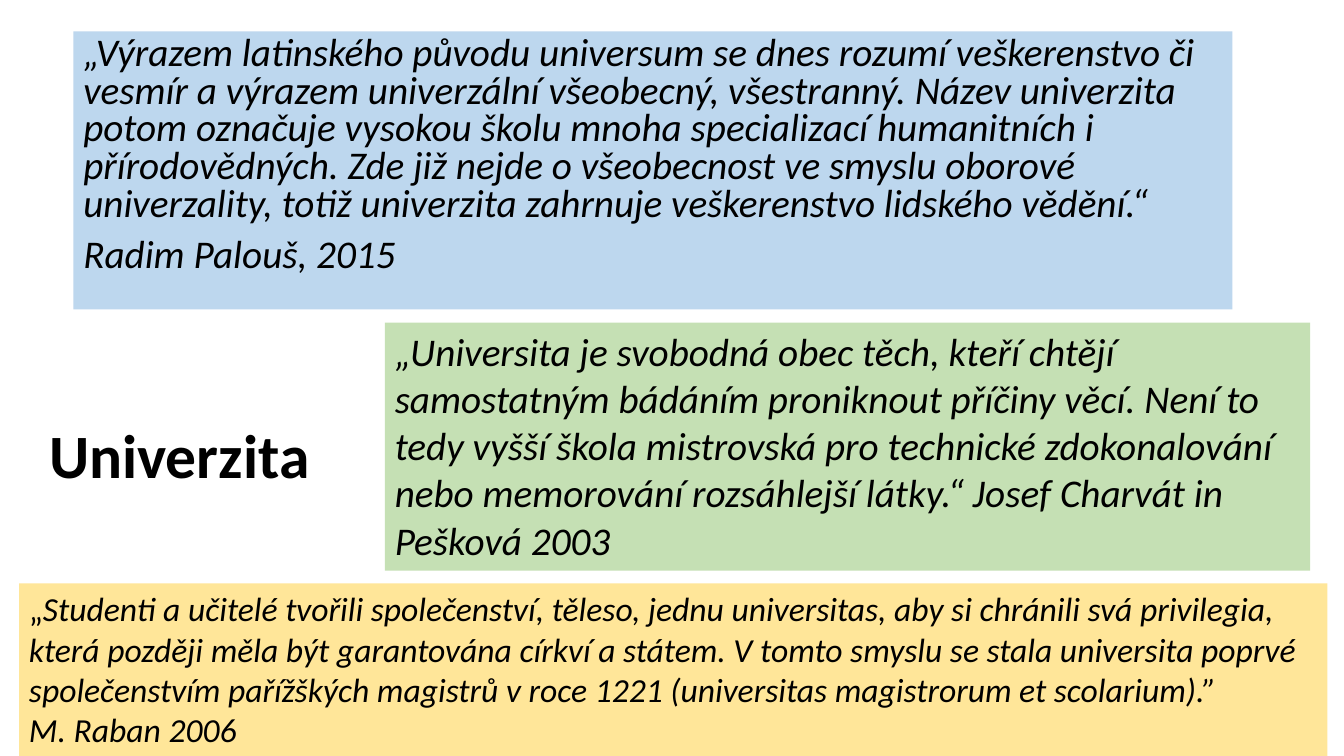
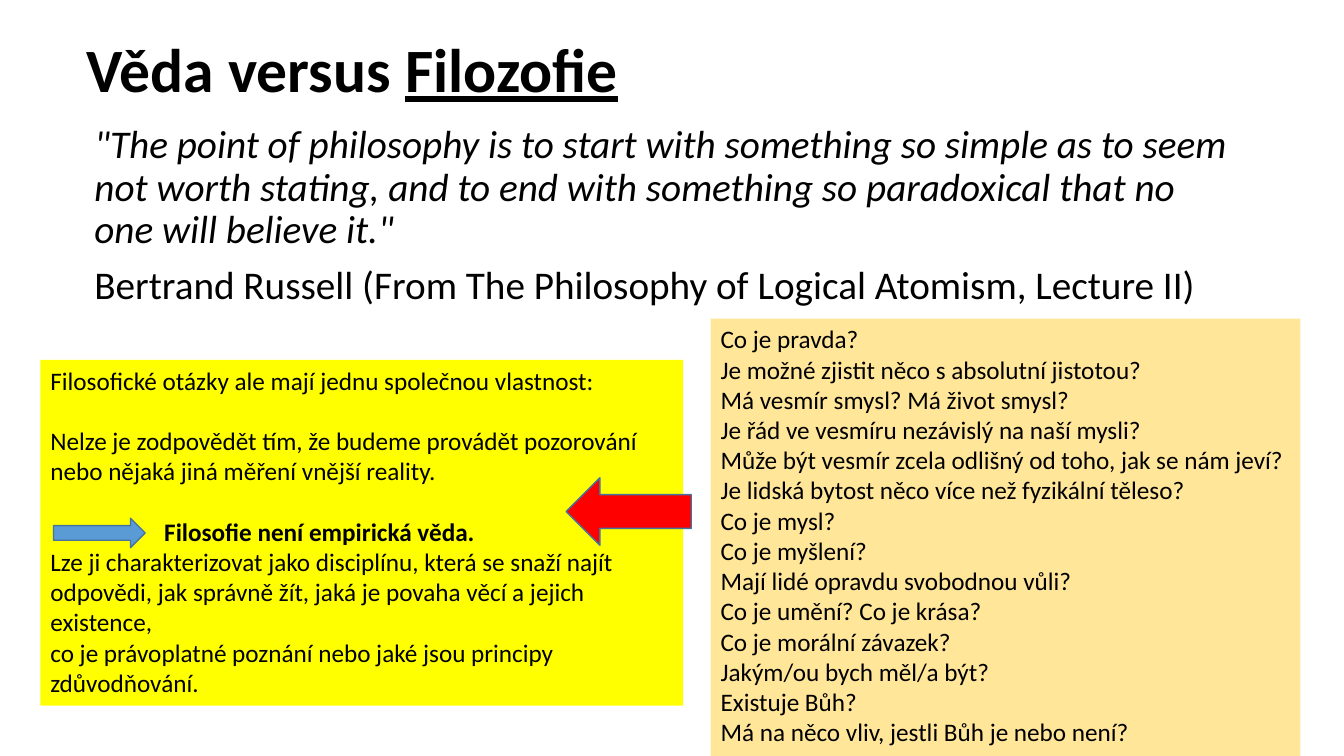
from pptx import Presentation
from pptx import util as u
from pptx.dml.color import RGBColor
from pptx.enum import shapes, text

BLACK, AMBER, YELLOW = "000000", "FFE699", "FFFF00"
SKY, GREEN, BLUE, RED, OUTLINE = "BDD7EE", "C5E0B4", "5B9BD5", "FF0000", "43739E"


def color(value):
    return RGBColor.from_string(value)


def write(para, words, size=18, bold=False, italic=False, underline=False):
    span = para.add_run()
    span.text = words
    font = span.font
    font.name, font.size, font.color.rgb = "Calibri", u.Pt(size), color(BLACK)
    font.bold, font.italic, font.underline = bold, italic, underline


class Slides:
    def __init__(self):
        self.deck = Presentation()
        self.deck.slide_width, self.deck.slide_height = u.Cm(33.87), u.Cm(19.05)
        self.page = None

    def new_page(self):
        self.page = self.deck.slides.add_slide(self.deck.slide_layouts[6])

    def box(self, place, paragraphs, fill=None, spacing=1, before=0, grow=False,
            wrap=True, middle=False, **style):
        box = self.page.shapes.add_textbox(*map(u.Cm, place))
        if fill:
            box.fill.solid()
            box.fill.fore_color.rgb = color(fill)
        frame = box.text_frame
        frame.word_wrap = wrap
        frame.auto_size = (text.MSO_AUTO_SIZE.SHAPE_TO_FIT_TEXT if grow
                           else text.MSO_AUTO_SIZE.NONE)
        frame.vertical_anchor = text.MSO_ANCHOR.MIDDLE if middle else text.MSO_ANCHOR.TOP
        for number, spans in enumerate(paragraphs):
            para = frame.add_paragraph() if number else frame.paragraphs[0]
            para.line_spacing = spacing
            para.space_before = u.Pt(before)
            for words, changes in spans:
                write(para, words, **{**style, **changes})
        return box

    def title(self, place, *spans):
        self.box(place, [spans], spacing=0.9, middle=True, size=44, bold=True)

    def arrow(self, kind, place, fill):
        arrow = self.page.shapes.add_shape(kind, *map(u.Cm, place))
        arrow.shadow.inherit = False
        arrow.fill.solid()
        arrow.fill.fore_color.rgb = color(fill)
        arrow.line.color.rgb = color(OUTLINE)
        arrow.line.width = u.Pt(1)


def plain(*lines):
    return [[(line, {})] for line in lines]


def university(slides):
    slides.new_page()
    slides.title((0.99, 10.19, 7.24, 2.74), ("Univerzita", {}))
    slides.box((1.85, 0.79, 29.21, 7.01), plain(
        "„Výrazem latinského původu universum se dnes rozumí veškerenstvo či vesmír a "
        "výrazem univerzální všeobecný, všestranný. Název univerzita potom označuje "
        "vysokou školu mnoha specializací humanitních i přírodovědných. Zde již nejde o "
        "všeobecnost ve smyslu oborové univerzality, totiž univerzita zahrnuje "
        "veškerenstvo lidského vědění.“",
        "Radim Palouš, 2015",
    ), fill=SKY, spacing=0.8, before=10, size=28, italic=True)
    slides.box((9.7, 8.13, 23.32, 6.25), plain(
        "„Universita je svobodná obec těch, kteří chtějí samostatným bádáním proniknout "
        "příčiny věcí. Není to tedy vyšší škola mistrovská pro technické zdokonalování "
        "nebo memorování rozsáhlejší látky.“ Josef Charvát in Pešková 2003",
    ), fill=GREEN, grow=True, size=28, italic=True)
    slides.box((0.48, 14.7, 32.97, 4.35), [
        [("„", {"italic": False}),
         ("Studenti a učitelé tvořili společenství, těleso, jednu universitas, aby si "
          "chránili svá privilegia, která později měla být garantována církví a státem. "
          "V tomto smyslu se stala universita poprvé společenstvím pařížškých magistrů "
          "v roce 1221 (universitas magistrorum et scolarium).”", {})],
        [("M. Raban 2006", {})],
    ], fill=AMBER, grow=True, size=24, italic=True)


def philosophy(slides):
    slides.new_page()
    slides.title((1.93, 0, 29.21, 3.68),
                 ("Věda versus ", {}), ("Filozofie", {"underline": True}))
    slides.box((2.13, 3.02, 29.21, 12.09), [
        [('"The point of philosophy is to start with something so simple as to seem not '
          'worth stating, and to end with something so paradoxical that no one will '
          'believe it."', {"italic": True})],
        [("Bertrand Russell (From The Philosophy of Logical Atomism, Lecture II)", {})],
    ], spacing=0.9, before=10, size=28)
    slides.box((17.91, 8.03, 14.86, 11.02), plain(
        "Co je pravda?",
        "Je možné zjistit něco s absolutní jistotou?",
        "Má vesmír smysl? Má život smysl?",
        "Je řád ve vesmíru nezávislý na naší mysli?",
        "Může být vesmír zcela odlišný od toho, jak se nám jeví?",
        "Je lidská bytost něco více než fyzikální těleso?",
        "Co je mysl?",
        "Co je myšlení?",
        "Mají lidé opravdu svobodnou vůli?",
        "Co je umění? Co je krása?",
        "Co je morální závazek?",
        "Jakým/ou bych měl/a být?",
        "Existuje Bůh?",
        "Má na něco vliv, jestli Bůh je nebo není?",
    ), fill=AMBER, grow=True, wrap=False)
    claims = slides.box((1.02, 9.07, 16.2, 8.71), [
        *plain("Filosofické otázky ale mají jednu společnou vlastnost:",
               "Nelze je zodpovědět tím, že budeme provádět pozorování",
               "nebo nějaká jiná měření vnější reality."),
        [("Filosofie není empirická věda.", {"bold": True})],
        *plain("Lze ji charakterizovat jako disciplínu, která se snaží najít odpovědi, jak "
               "správně žít, jaká je povaha věcí a jejich existence,",
               "co je právoplatné poznání nebo jaké jsou principy zdůvodňování."),
    ], fill=YELLOW, grow=True)
    paragraphs = claims.text_frame.paragraphs
    for number in (1, 3):
        paragraphs[number].space_before = u.Pt(21.6)
    conclusion = paragraphs[3]
    conclusion._p.get_or_add_pPr().set("marL", str(u.Cm(2.87)))
    slides.arrow(shapes.MSO_SHAPE.RIGHT_ARROW, (1.35, 13.06, 2.31, 0.74), BLUE)
    slides.arrow(shapes.MSO_SHAPE.LEFT_ARROW, (14.27, 12.04, 3.15, 1.7), RED)


def main():
    slides = Slides()
    university(slides)
    philosophy(slides)
    slides.deck.save("out.pptx")


if __name__ == "__main__":
    main()
